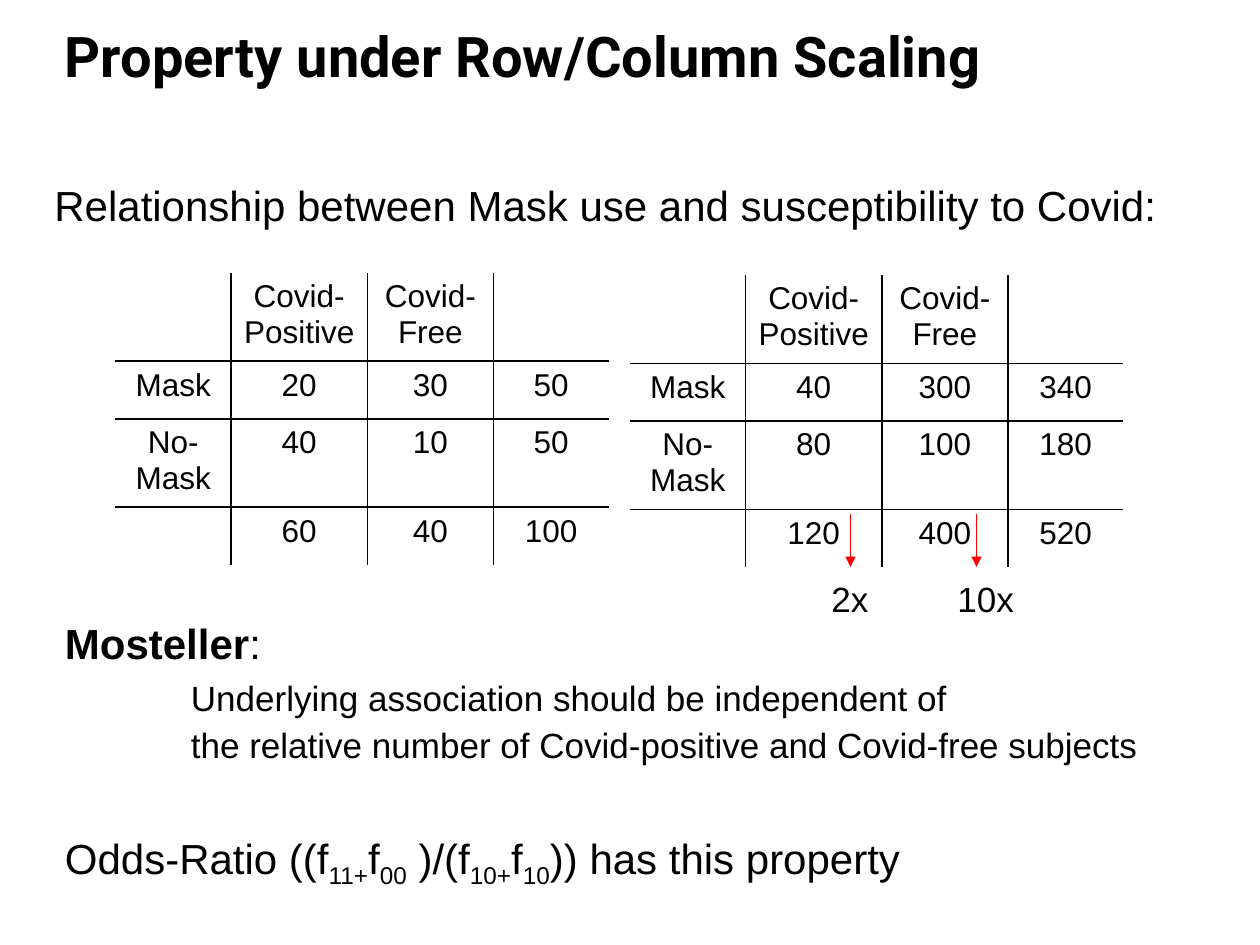
import dataclasses
import typing

import pptx
import pptx.dml.color
import pptx.enum.shapes
import pptx.enum.text
import pptx.oxml.ns
import pptx.util
from lxml import etree

ALIGN = pptx.enum.text.PP_ALIGN
ANCHOR = pptx.enum.text.MSO_ANCHOR
Pt = pptx.util.Pt


@dataclasses.dataclass(frozen=True)
class Theme:
    ink: str = "000000"
    red: str = "FF0000"
    head: str = "Roboto"
    body: str = "Arial"
    title: int = 32
    large: int = 24
    mid: int = 20
    small: int = 18


class Run(typing.NamedTuple):
    text: str
    bold: bool = False
    sub: bool = False


class Line(typing.NamedTuple):
    runs: list[Run]
    size: int
    before: float = 0
    indent: float = 0


class Grid(typing.NamedTuple):
    left: float
    top: float
    tall: float
    cells: list[list[str]]


class Scale(typing.NamedTuple):
    left: float
    label: str


THEME = Theme()
COLS = (11, 13, 12, 11)
SHORT = 5.5
HEADS = ["", "Covid-Positive", "Covid-Free", ""]

GRIDS = [
    Grid(11, 26, 7.9, [HEADS, ["Mask", "20", "30", "50"],
                       ["No-Mask", "40", "10", "50"], ["", "60", "40", "100"]]),
    Grid(60, 26.2, 8.4, [HEADS, ["Mask", "40", "300", "340"],
                         ["No-Mask", "80", "100", "180"], ["", "120", "400", "520"]]),
]
SCALES = [Scale(78, "2x"), Scale(90, "10x")]
ODDS = [Run("Odds-Ratio ((f"), Run("11+", sub=True), Run("f"), Run("00", sub=True),
        Run(" )/(f"), Run("10+", sub=True), Run("f"), Run("10", sub=True),
        Run(")) has this property")]
NOTES = [
    Line([Run("Mosteller", bold=True), Run(":")], THEME.large),
    Line([Run("Underlying association should be independent of")], THEME.mid, 3, 12),
    Line([Run("the relative number of Covid-positive and Covid-free subjects")],
         THEME.mid, 0, 12),
    Line(ODDS, THEME.large, 35),
]


def unit(n: float) -> pptx.util.Emu:
    """Length of n grid steps; the slide is 120 columns by 90 rows."""
    return pptx.util.Inches(n / 12)


def color(code: str) -> pptx.dml.color.RGBColor:
    return pptx.dml.color.RGBColor.from_string(code)


def write(frame, lines: list[Line], *, font: str = THEME.body, align=ALIGN.LEFT,
          space=1.1) -> None:
    frame.word_wrap = True
    for i, line in enumerate(lines):
        para = frame.add_paragraph() if i else frame.paragraphs[0]
        if line.indent:
            para._p.get_or_add_pPr().set("marL", str(unit(line.indent)))
        para.alignment = align
        para.line_spacing = space
        para.space_before = Pt(line.before)
        for part in line.runs:
            run = para.add_run()
            run.text = part.text
            run.font.name = font
            run.font.size = Pt(line.size)
            run.font.bold = part.bold
            run.font.color.rgb = color(THEME.ink)
            if part.sub:
                run._r.get_or_add_rPr().set("baseline", "-25000")


def box(slide, left: float, top: float, width: float, height: float,
        lines: list[Line], *, anchor=ANCHOR.TOP, **form) -> None:
    shape = slide.shapes.add_textbox(*map(unit, (left, top, width, height)))
    shape.text_frame.vertical_anchor = anchor
    write(shape.text_frame, lines, **form)


def rule(cell, sides: list[str]) -> None:
    """Draw a 1 pt border on the given sides and none on the others."""
    props = cell._tc.get_or_add_tcPr()
    qn = pptx.oxml.ns.qn
    for i, side in enumerate("LRTB"):
        edge = etree.Element(qn(f"a:ln{side}"), w=str(Pt(1)))
        if side in sides:
            fill = etree.SubElement(edge, qn("a:solidFill"))
            etree.SubElement(fill, qn("a:srgbClr"), val=THEME.ink)
        else:
            etree.SubElement(edge, qn("a:noFill"))
        props.insert(i, edge)


def table(slide, grid: Grid) -> None:
    rows = (grid.tall, SHORT) * 2
    count, span = len(rows), len(COLS)
    frame = slide.shapes.add_table(count, span, unit(grid.left), unit(grid.top),
                                   unit(sum(COLS)), unit(sum(rows)))
    tab = frame.table
    tab.first_row = tab.horz_banding = False
    for col, width in zip(tab.columns, COLS):
        col.width = unit(width)
    for r, texts in enumerate(grid.cells):
        tab.rows[r].height = unit(rows[r])
        for c, text in enumerate(texts):
            cell = tab.cell(r, c)
            cell.fill.background()
            inner = {"L": c > 0, "R": c < span - 1, "T": r > 0, "B": r < count - 1}
            rule(cell, [side for side, shown in inner.items() if shown])
            if text:
                write(cell.text_frame, [Line([Run(text)], THEME.small)],
                      align=ALIGN.CENTER, space=1.0)


def arrow(slide, x: float, top: float, end: float) -> None:
    link = slide.shapes.add_connector(pptx.enum.shapes.MSO_CONNECTOR.STRAIGHT,
                                      *map(unit, (x, top, x, end)))
    link.line.color.rgb = color(THEME.red)
    link.line.width = Pt(1)
    qn = pptx.oxml.ns.qn
    etree.SubElement(link.line._get_or_add_ln(), qn("a:tailEnd"), type="triangle")
    etree.SubElement(link._element.spPr, qn("a:effectLst"))


def main() -> None:
    deck = pptx.Presentation()
    deck.slide_width, deck.slide_height = unit(120), unit(90)
    slide = deck.slides.add_slide(deck.slide_layouts[6])
    box(slide, 5, 2, 109, 7,
        [Line([Run("Property under Row/Column Scaling", bold=True)], THEME.title)],
        font=THEME.head, space=Pt(36), anchor=ANCHOR.BOTTOM)
    box(slide, 4, 16, 121, 6, [Line([Run(
        "Relationship between Mask use and susceptibility to Covid:")], THEME.large)])
    for grid in GRIDS:
        table(slide, grid)
    box(slide, 5, 57.7, 110, 26.3, NOTES)
    for scale in SCALES:
        arrow(slide, scale.left + 3, 49, 54)
        box(slide, scale.left, 54, 8, 5.2, [Line([Run(scale.label)], THEME.mid)])
    deck.save("out.pptx")


if __name__ == "__main__":
    main()
